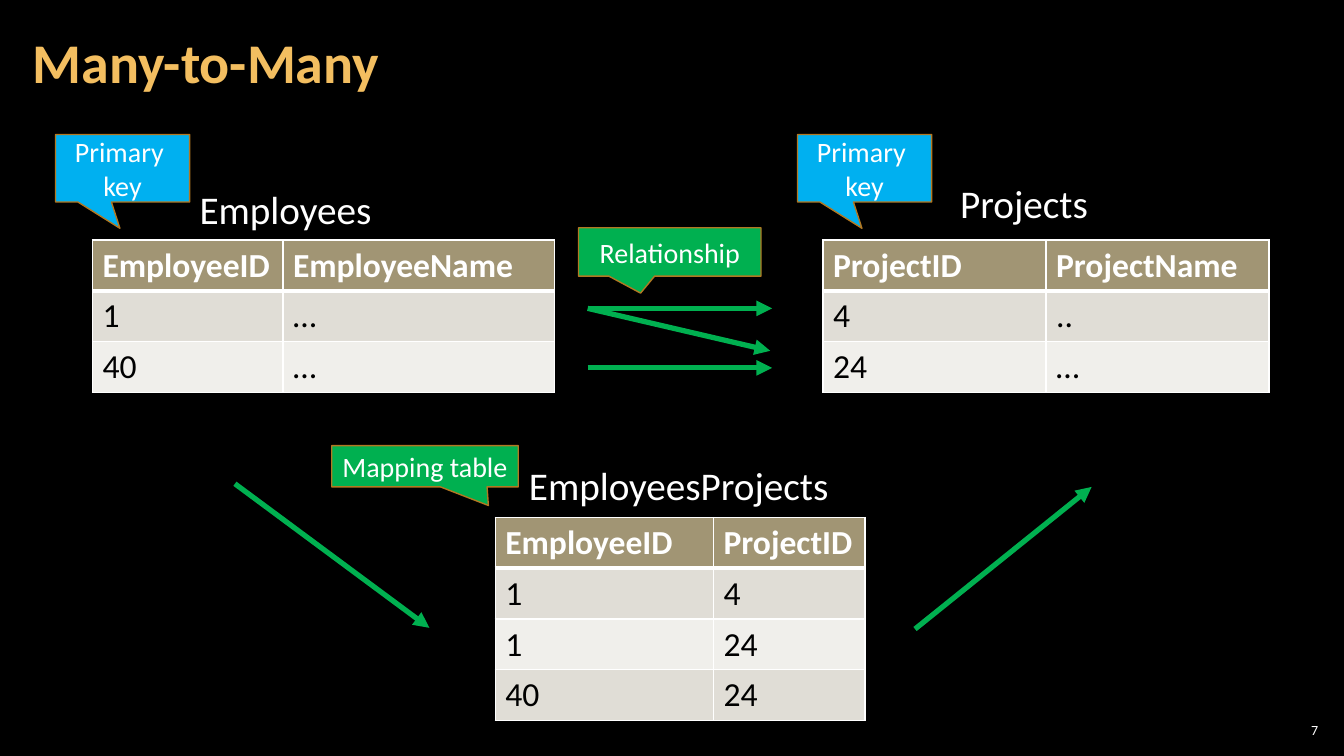
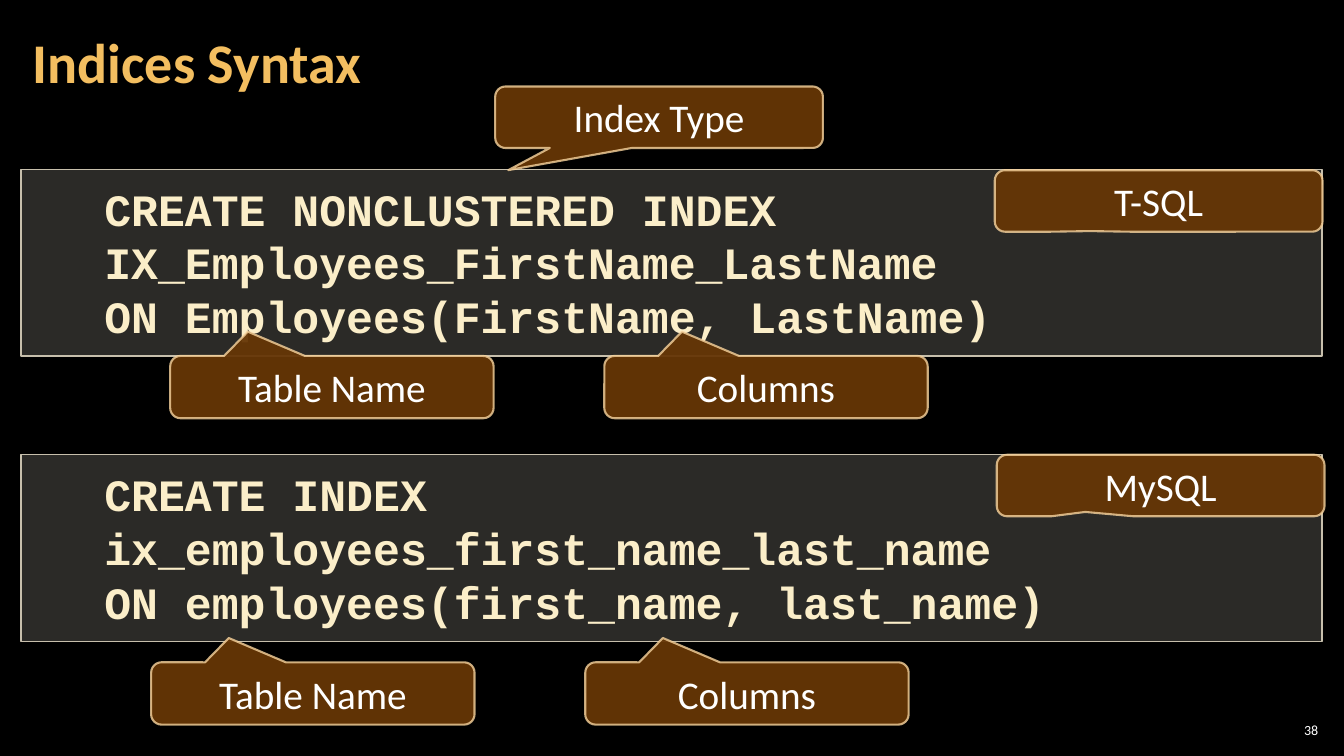
from pptx import Presentation
from pptx.dml.color import RGBColor
from pptx.enum.shapes import MSO_CONNECTOR, MSO_SHAPE
from pptx.enum.text import MSO_ANCHOR, PP_ALIGN
from pptx.oxml.ns import qn
from pptx.util import Cm, Pt
from lxml import etree

RECT = MSO_SHAPE.RECTANGLE
RECT_CALLOUT = MSO_SHAPE.RECTANGULAR_CALLOUT
ROUND_CALLOUT = MSO_SHAPE.ROUNDED_RECTANGULAR_CALLOUT
STRAIGHT = MSO_CONNECTOR.STRAIGHT
TOP, MIDDLE = MSO_ANCHOR.TOP, MSO_ANCHOR.MIDDLE
LEFT, CENTER, RIGHT = PP_ALIGN.LEFT, PP_ALIGN.CENTER, PP_ALIGN.RIGHT

BLACK = RGBColor(0x00, 0x00, 0x00)
WHITE = RGBColor(0xFF, 0xFF, 0xFF)
GOLD = RGBColor(0xF3, 0xBE, 0x60)
CREAM = RGBColor(0xFB, 0xEE, 0xC9)
GREEN = RGBColor(0x00, 0xB0, 0x50)
BLUE = RGBColor(0x00, 0xB0, 0xF0)
BRONZE = RGBColor(0xB2, 0x78, 0x22)
BROWN = RGBColor(0x66, 0x36, 0x06)
PEACH = RGBColor(0xF8, 0xD4, 0x9E)
SAND = RGBColor(0xD9, 0xD5, 0xC7)
SAND_EDGE = RGBColor(0xC7, 0xBF, 0xAC)
HEADER = RGBColor(0xA1, 0x95, 0x74)
BANDS = [RGBColor(0xE0, 0xDD, 0xD6), RGBColor(0xF0, 0xEF, 0xEB)]

BODY_FONT, CODE_FONT = "Calibri", "Courier New"
ROW_HEIGHT = 1.28

# All positions below are in centimetres.
TABLES = [
    {"name": "Employees", "name_at": (4.78, 4.55, 4.88, 1.45),
     "at": (2.33, 6.05), "columns": (4.8, 6.85),
     "rows": [("EmployeeID", "EmployeeName"), ("1", "…"), ("40", "…")]},
    {"name": "Projects", "name_at": (23.95, 4.39, 3.76, 1.45),
     "at": (20.74, 6.05), "columns": (5.62, 5.62),
     "rows": [("ProjectID", "ProjectName"), ("4", ".."), ("24", "…")]},
    {"name": "EmployeesProjects", "name_at": (13.08, 11.51, 8.15, 1.45),
     "at": (12.48, 13.04), "columns": (5.5, 3.82),
     "rows": [("EmployeeID", "ProjectID"), ("1", "4"), ("1", "24"),
              ("40", "24")]},
]
ARROWS = [
    ((14.81, 7.77), (19.46, 7.77)),
    ((14.81, 9.27), (19.46, 9.27)),
    ((14.81, 7.77), (19.41, 8.84)),
    ((5.92, 12.19), (10.82, 15.82)),
    ((23.06, 15.85), (27.51, 12.27)),
]
# text, box, tip of the pointer, fill
KEY_TIP = (-0.02, 0.89)
TABLE_NOTES = [
    ("Primary \vkey", (1.4, 3.39, 3.38, 1.7), KEY_TIP, BLUE),
    ("Primary \vkey", (20.1, 3.39, 3.38, 1.7), KEY_TIP, BLUE),
    ("Relationship", (14.58, 5.74, 4.6, 1.22), (-0.16, 0.85), GREEN),
    ("Mapping table", (8.36, 11.23, 4.7, 1.04), (0.34, 0.95), GREEN),
]

CODE_BLOCKS = [
    (4.27, ["CREATE NONCLUSTERED INDEX IX_Employees_FirstName_LastName",
            "ON Employees(FirstName, LastName)"]),
    (11.46, ["CREATE INDEX \vix_employees_first_name_last_name",
             "ON employees(first_name, last_name)"]),
]
PART_NOTES = ["Table Name", "Columns"]
PART_ROWS = [(4.29, 8.97), (3.81, 16.69)]
PART_STEP, PART_SIZE, PART_TIP = 10.94, (8.15, 1.57), (-0.26, -0.89)
SYNTAX_NOTES = [
    ("Index Type", (12.48, 2.18, 8.26, 1.55), (-0.46, 0.86)),
    ("T-SQL", (25.07, 4.29, 8.26, 1.55), (-0.21, 0.49)),
    ("MySQL", (25.12, 11.46, 8.26, 1.55), (-0.23, 0.43)),
]


def lengths(values):
    return [Cm(value) for value in values]


def write(frame, paragraphs, size, color=WHITE, font=BODY_FONT, bold=False,
          align=LEFT, anchor=TOP, spacing=None, indent=0):
    frame.vertical_anchor = anchor
    for number, text in enumerate(paragraphs):
        para = frame.add_paragraph() if number else frame.paragraphs[0]
        para.text = text
        para.alignment = align
        if spacing:
            para.line_spacing = spacing
        if indent:
            properties = para._p.get_or_add_pPr()
            properties.set("marL", str(Cm(indent)))
            properties.set("indent", "0")
        para.font.name = font
        para.font.size = Pt(size)
        para.font.bold = bold
        para.font.color.rgb = color


def set_margins(frame, side, vertical):
    frame.margin_left = frame.margin_right = Cm(side)
    frame.margin_top = frame.margin_bottom = Cm(vertical)


def set_opacity(parent, percent):
    """Make the solid fill directly under parent partly transparent."""
    color = parent.find(qn("a:solidFill")).find(qn("a:srgbClr"))
    etree.SubElement(color, qn("a:alpha"), val=str(percent * 1000))


def add_text(page, at, text, size, wrap=True, margins=None, **style):
    frame = page.shapes.add_textbox(*lengths(at)).text_frame
    frame.word_wrap = wrap
    if margins:
        set_margins(frame, *margins)
    write(frame, [text], size, **style)


def add_box(page, kind, at, fill, edge, edge_width, opacity=None):
    """Add a filled, outlined shape; opacity is (fill, line) in percent."""
    box = page.shapes.add_shape(kind, *lengths(at))
    box.shadow.inherit = False
    box.fill.solid()
    box.fill.fore_color.rgb = fill
    box.line.color.rgb = edge
    box.line.width = Pt(edge_width)
    if opacity:
        properties = box.element.spPr
        set_opacity(properties, opacity[0])
        set_opacity(properties.find(qn("a:ln")), opacity[1])
    return box


def add_callout(page, kind, text, at, tip, size, *look):
    callout = add_box(page, kind, at, *look)
    callout.adjustments[0], callout.adjustments[1] = tip
    write(callout.text_frame, [text], size, align=CENTER, anchor=MIDDLE)


def add_syntax_note(page, text, at, tip):
    add_callout(page, ROUND_CALLOUT, text, at, tip, 28,
                BROWN, PEACH, 1.5, (95, 80))


def add_arrow(page, start, end):
    arrow = page.shapes.add_connector(STRAIGHT, *lengths(start + end))
    arrow.line.color.rgb = GREEN
    arrow.line.width = Pt(3.75)
    etree.SubElement(arrow.line._get_or_add_ln(), qn("a:tailEnd"),
                     type="triangle")
    etree.SubElement(arrow._element.spPr, qn("a:effectLst"))


def set_borders(cell, top, bottom):
    properties = cell._tc.get_or_add_tcPr()
    for side, width in (("L", 1), ("R", 1), ("T", top), ("B", bottom)):
        line = etree.SubElement(properties, qn("a:ln" + side),
                                w=str(Pt(width)))
        fill = etree.SubElement(line, qn("a:solidFill"))
        etree.SubElement(fill, qn("a:srgbClr"), val=str(WHITE))


def add_data_table(page, at, columns, rows):
    size = (sum(columns), ROW_HEIGHT * len(rows))
    table = page.shapes.add_table(len(rows), len(columns),
                                  *lengths(at + size)).table
    for column, width in zip(table.columns, columns):
        column.width = Cm(width)
    for r, texts in enumerate(rows):
        table.rows[r].height = Cm(ROW_HEIGHT)
        is_header = r == 0
        for c, text in enumerate(texts):
            cell = table.cell(r, c)
            set_borders(cell, 3 if r == 1 else 1, 3 if is_header else 1)
            cell.fill.solid()
            cell.fill.fore_color.rgb = HEADER if is_header else BANDS[(r - 1) % 2]
            write(cell.text_frame, [text], 24, bold=is_header,
                  color=WHITE if is_header else BLACK)


def add_page(deck, title, number):
    page = deck.slides.add_slide(deck.slide_layouts[6])
    page.background.fill.solid()
    page.background.fill.fore_color.rgb = BLACK
    add_text(page, (0.53, 0.12, 26.6, 3.07), title, 40, margins=(0.3, 0.1),
             color=GOLD, bold=True, anchor=MIDDLE, spacing=0.9)
    add_text(page, (32.13, 18.14, 1.19, 0.53), number, 10,
             margins=(0.1, 0.1), align=RIGHT, anchor=MIDDLE)
    return page


def build_many_to_many(deck):
    page = add_page(deck, "Many-to-Many", "7")
    for table in TABLES:
        add_data_table(page, table["at"], table["columns"], table["rows"])
        add_text(page, table["name_at"], table["name"], 28, wrap=False)
    for start, end in ARROWS:
        add_arrow(page, start, end)
    for text, at, tip, fill in TABLE_NOTES:
        add_callout(page, RECT_CALLOUT, text, at, tip, 20, fill, BRONZE, 1)


def build_indices_syntax(deck):
    page = add_page(deck, "Indices Syntax", "38")
    for top, lines in CODE_BLOCKS:
        box = add_box(page, RECT, (0.53, top, 32.79, 4.7), SAND, SAND_EDGE, 1,
                      (20, 100))
        set_margins(box.text_frame, 0.4, 0.3)
        write(box.text_frame, lines, 32, color=CREAM, font=CODE_FONT,
              bold=True, indent=1.7)
    for left, top in PART_ROWS:
        for i, text in enumerate(PART_NOTES):
            at = (left + i * PART_STEP, top) + PART_SIZE
            add_syntax_note(page, text, at, PART_TIP)
    for text, at, tip in SYNTAX_NOTES:
        add_syntax_note(page, text, at, tip)


def main():
    deck = Presentation()
    deck.slide_width, deck.slide_height = Cm(33.87), Cm(19.05)
    build_many_to_many(deck)
    build_indices_syntax(deck)
    deck.save("out.pptx")


if __name__ == "__main__":
    main()
